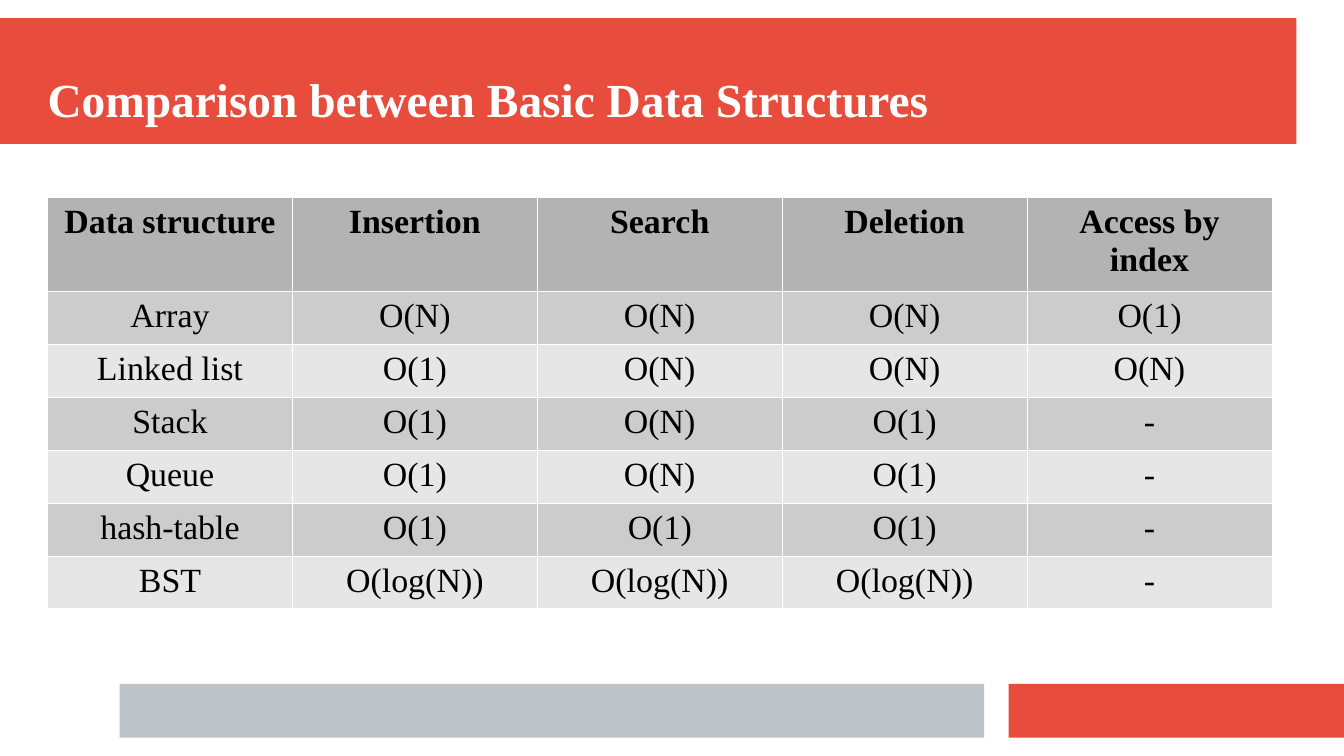
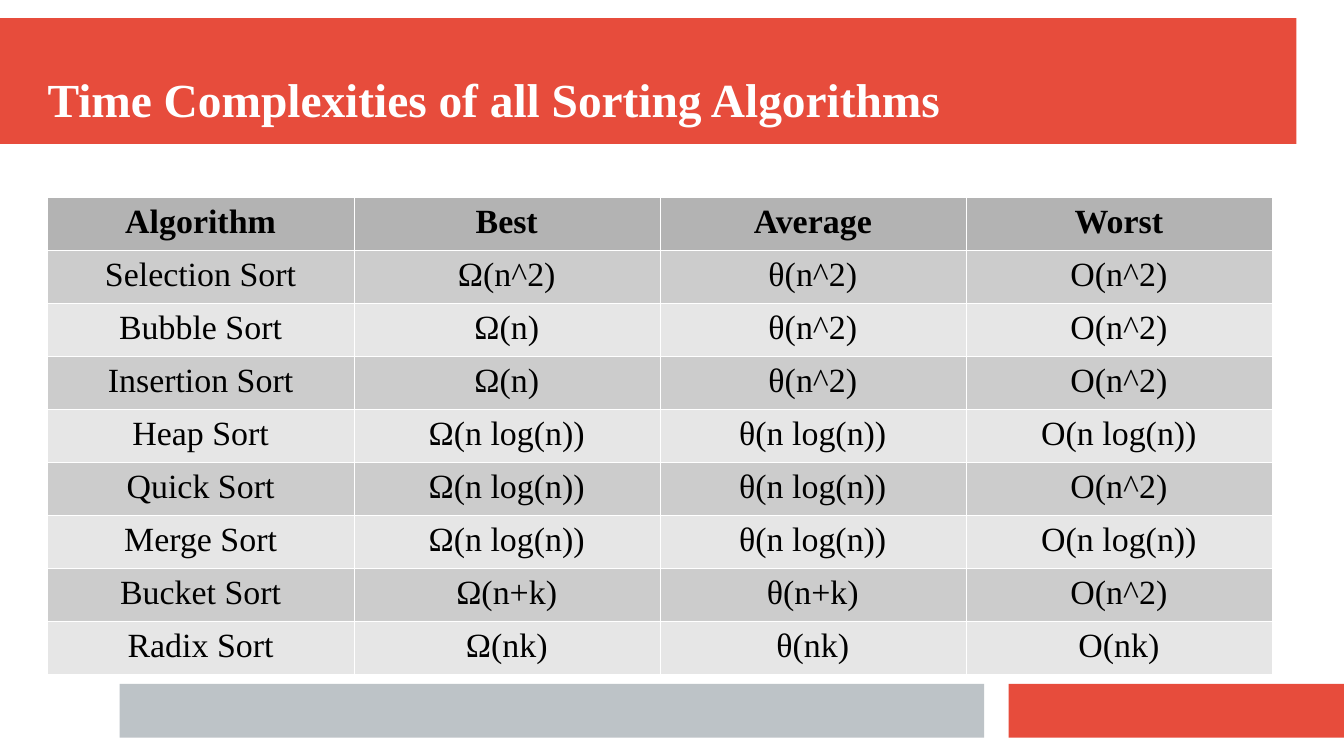
from lxml.etree import SubElement
from pptx import Presentation
from pptx.dml.color import RGBColor
from pptx.enum.shapes import MSO_SHAPE
from pptx.enum.text import MSO_ANCHOR, PP_ALIGN
from pptx.oxml.ns import qn
from pptx.util import Inches, Pt

SLIDES = [
    {
        "title": "Comparison between Basic Data Structures",
        "head": 0.72,
        "rows": [
            ("Data structure", "Insertion", "Search", "Deletion", "Access by index"),
            ("Array", "O(N)", "O(N)", "O(N)", "O(1)"),
            ("Linked list", "O(1)", "O(N)", "O(N)", "O(N)"),
            ("Stack", "O(1)", "O(N)", "O(1)", "-"),
            ("Queue", "O(1)", "O(N)", "O(1)", "-"),
            ("hash-table", "O(1)", "O(1)", "O(1)", "-"),
            ("BST", "O(log(N))", "O(log(N))", "O(log(N))", "-"),
        ],
    },
    {
        "title": "Time Complexities of all Sorting Algorithms",
        "head": 0.41,
        "rows": [
            ("Algorithm", "Best", "Average", "Worst"),
            ("Selection Sort", "Ω(n^2)", "θ(n^2)", "O(n^2)"),
            ("Bubble Sort", "Ω(n)", "θ(n^2)", "O(n^2)"),
            ("Insertion Sort", "Ω(n)", "θ(n^2)", "O(n^2)"),
            ("Heap Sort", "Ω(n log(n))", "θ(n log(n))", "O(n log(n))"),
            ("Quick Sort", "Ω(n log(n))", "θ(n log(n))", "O(n^2)"),
            ("Merge Sort", "Ω(n log(n))", "θ(n log(n))", "O(n log(n))"),
            ("Bucket Sort", "Ω(n+k)", "θ(n+k)", "O(n^2)"),
            ("Radix Sort", "Ω(nk)", "θ(nk)", "O(nk)"),
        ],
    },
]

COLORS = {
    "red": "E74C3C",
    "gray": "BDC3C7",
    "white": "FFFFFF",
    "black": "000000",
    "head": "B3B3B3",
    "odd": "CCCCCC",
    "even": "E6E6E6",
}
FONT = "Times New Roman"
BANDS = [
    ("red", 0, 0.15, 10.63, 1.03),
    ("red", 8.27, 5.61, 2.76, 0.44),
    ("gray", 0.98, 5.61, 7.09, 0.44),
]
LEFT, TOP, WIDTH, ROW = 0.39, 1.62, 10.04, 0.41


def color(name):
    return RGBColor.from_string(COLORS[name])


def write(frame, text, size=20, ink="black", bold=False, align=PP_ALIGN.CENTER):
    frame.word_wrap = True
    para = frame.paragraphs[0]
    para.alignment = align
    run = para.add_run()
    run.text = text
    font = run.font
    font.name, font.size, font.bold = FONT, Pt(size), bold
    font.color.rgb = color(ink)


def add_bands(slide):
    for fill, *box in BANDS:
        band = slide.shapes.add_shape(MSO_SHAPE.RECTANGLE, *map(Inches, box))
        band.shadow.inherit = False
        band.fill.solid()
        band.fill.fore_color.rgb = color(fill)
        band.line.fill.background()


def add_title(slide, text):
    box = slide.shapes.add_textbox(*map(Inches, (LEFT, 0.3, 10.24, 0.74)))
    frame = box.text_frame
    frame.margin_left = frame.margin_right = 0
    frame.margin_top = frame.margin_bottom = 0
    frame.vertical_anchor = MSO_ANCHOR.BOTTOM
    write(frame, text, size=28, ink="white", bold=True, align=PP_ALIGN.LEFT)


def add_edges(cell):
    props = cell._tc.get_or_add_tcPr()
    for side in ("lnL", "lnR", "lnT", "lnB"):
        line = SubElement(props, qn("a:" + side), w=str(int(Pt(0.06))))
        fill = SubElement(line, qn("a:solidFill"))
        SubElement(fill, qn("a:srgbClr"), val=COLORS["white"])


def add_grid(slide, rows, head):
    count = len(rows[0])
    height = head + ROW * (len(rows) - 1)
    box = map(Inches, (LEFT, TOP, WIDTH, height))
    grid = slide.shapes.add_table(len(rows), count, *box).table
    for col in grid.columns:
        col.width = Inches(WIDTH / count)
    for i, row in enumerate(rows):
        grid.rows[i].height = Inches(ROW if i else head)
        shade = ("odd" if i % 2 else "even") if i else "head"
        for j, text in enumerate(row):
            cell = grid.cell(i, j)
            add_edges(cell)
            cell.fill.solid()
            cell.fill.fore_color.rgb = color(shade)
            write(cell.text_frame, text, bold=i == 0)


deck = Presentation()
deck.slide_width, deck.slide_height = Inches(11.02), Inches(6.2)
for page in SLIDES:
    slide = deck.slides.add_slide(deck.slide_layouts[6])
    add_bands(slide)
    add_title(slide, page["title"])
    add_grid(slide, page["rows"], page["head"])
deck.save("out.pptx")
